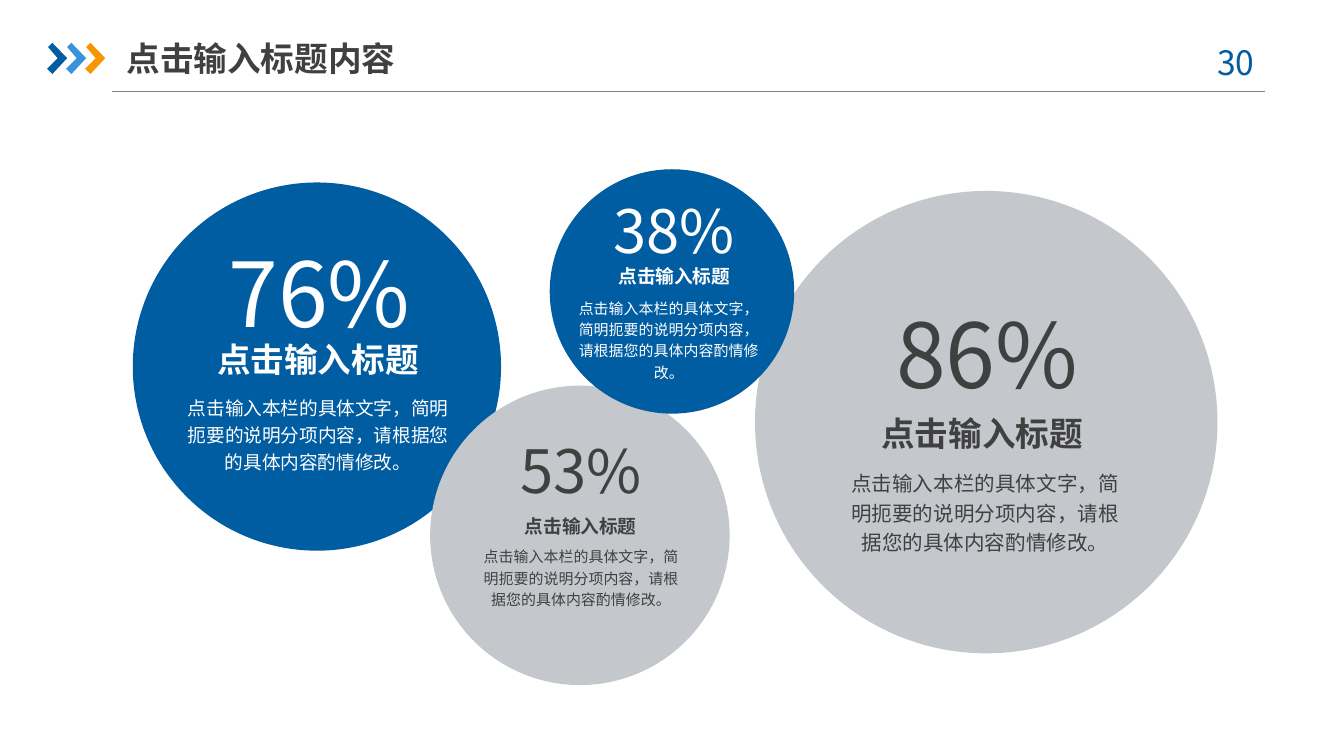
from typing import NamedTuple

import pptx
import pptx.util
from lxml import etree
from pptx.dml.color import RGBColor
from pptx.enum.shapes import MSO_CONNECTOR, MSO_SHAPE
from pptx.enum.text import MSO_ANCHOR, MSO_AUTO_SIZE, PP_ALIGN
from pptx.oxml.ns import qn
from pptx.util import Cm, Pt

BLUE = RGBColor(0x00, 0x5D, 0xA2)
SKY = RGBColor(0x39, 0x92, 0xDB)
ORANGE = RGBColor(0xF7, 0x96, 0x00)
SILVER = RGBColor(0xC4, 0xC7, 0xCB)
GRAY = RGBColor(0x80, 0x80, 0x80)
DARK = RGBColor(0x40, 0x40, 0x40)
WHITE = RGBColor(0xFF, 0xFF, 0xFF)

FONT = "Noto Sans CJK SC"
HEADING = "点击输入标题"
BODY = "点击输入本栏的具体文字，简明扼要的说明分项内容，请根据您的具体内容酌情修改。"


class Box(NamedTuple):
    """Left, top, width and height in centimetres."""
    x: float
    y: float
    w: float
    h: float


class Style(NamedTuple):
    size: float
    color: RGBColor
    bold: bool = False


class Bubble(NamedTuple):
    x: float
    y: float
    diameter: float
    fill: RGBColor
    ink: RGBColor
    value: str
    value_box: Box
    heading_box: Box
    body_box: Box
    value_size: float
    heading_size: float
    body_size: float


BUBBLES = [
    Bubble(14.27, 3.61, 8.74, SILVER, DARK, "86%", Box(16.89, 5.66, 3.53, 2.06),
           Box(16.64, 7.8, 3.84, 0.76), Box(15.93, 8.81, 5.38, 1.7), 48, 18, 11),
    Bubble(2.51, 3.45, 6.96, BLUE, WHITE, "76%", Box(4.27, 4.5, 3.53, 2.06),
           Box(4.09, 6.4, 3.84, 0.76), Box(3.51, 7.42, 5, 1.55), 48, 18, 10),
    Bubble(8.13, 7.29, 5.66, SILVER, DARK, "53%", Box(9.8, 8.2, 2.36, 1.37),
           Box(9.91, 9.73, 2.13, 0.43), Box(9.04, 10.29, 3.89, 1.22), 32, 10, 8),
    Bubble(10.39, 3.2, 4.62, BLUE, WHITE, "38%", Box(11.56, 3.66, 2.36, 1.37),
           Box(11.68, 5, 2.13, 0.43), Box(10.8, 5.59, 3.68, 1.22), 32, 10, 8),
]

CHEVRON = [(0.02, 0.89), (0.1, 0.81), (0.38, 1.1), (0.1, 1.4), (0, 1.3), (0.2, 1.1)]
CHEVRON_LEFT, CHEVRON_STEP = 0.89, 0.36


def paint(sp, color: RGBColor) -> None:
    sp.shadow.inherit = False
    sp.fill.solid()
    sp.fill.fore_color.rgb = color
    sp.line.fill.background()


def add_text(shapes, box: Box, text: str, style: Style, align=PP_ALIGN.CENTER,
             wrap: bool = True, spacing: float = 1.0, inset=(0, 0),
             anchor=MSO_ANCHOR.TOP, grow: bool = True) -> None:
    """Add a one-run text box; inset is (horizontal, vertical) in centimetres."""
    tf = shapes.add_textbox(*map(Cm, box)).text_frame
    tf.margin_left = tf.margin_right = Cm(inset[0])
    tf.margin_top = tf.margin_bottom = Cm(inset[1])
    tf.word_wrap = wrap
    tf.auto_size = MSO_AUTO_SIZE.SHAPE_TO_FIT_TEXT if grow else MSO_AUTO_SIZE.NONE
    tf.vertical_anchor = anchor
    p = tf.paragraphs[0]
    p.alignment = align
    p.line_spacing = spacing
    r = p.add_run()
    r.text = text
    r.font.size = Pt(style.size)
    r.font.bold = style.bold
    r.font.color.rgb = style.color
    r.font.name = FONT
    etree.SubElement(r.font._element, qn("a:ea"), typeface=FONT)


def add_chevrons(s) -> None:
    group = s.shapes.add_group_shape()
    for i, color in enumerate((BLUE, SKY, ORANGE)):
        left = CHEVRON_LEFT + i * CHEVRON_STEP
        points = [(Cm(left + x), Cm(y)) for x, y in CHEVRON]
        builder = group.shapes.build_freeform(*points[0])
        builder.add_line_segments(points[1:], close=True)
        paint(builder.convert_to_shape(), color)


def add_header(s) -> None:
    rule = s.shapes.add_connector(MSO_CONNECTOR.STRAIGHT, Cm(2.11), Cm(1.73), Cm(23.9), Cm(1.73))
    rule.line.color.rgb = GRAY
    rule.line.width = Pt(0.75)
    etree.SubElement(rule._element.spPr, qn("a:effectLst"))
    add_chevrons(s)
    add_text(s.shapes, Box(22.5, 0.66, 1.85, 1.02), "30 ", Style(18, BLUE), inset=(0.25, 0.13))
    add_text(s.shapes, Box(2.39, 0.56, 5.92, 1.07), "点击输入标题内容", Style(18, DARK, True),
             align=PP_ALIGN.LEFT, inset=(0, 0.13), anchor=MSO_ANCHOR.MIDDLE, grow=False)


def add_bubble(s, b: Bubble) -> None:
    shapes = s.shapes.add_group_shape().shapes
    circle = shapes.add_shape(MSO_SHAPE.OVAL, Cm(b.x), Cm(b.y), Cm(b.diameter), Cm(b.diameter))
    paint(circle, b.fill)
    add_text(shapes, b.body_box, BODY, Style(b.body_size, b.ink), spacing=1.2)
    add_text(shapes, b.value_box, b.value, Style(b.value_size, b.ink), wrap=False)
    add_text(shapes, b.heading_box, HEADING, Style(b.heading_size, b.ink, True), wrap=False)


def main() -> None:
    prs = pptx.Presentation()
    prs.slide_width, prs.slide_height = Cm(25.4), Cm(14.29)
    s = prs.slides.add_slide(prs.slide_layouts[6])
    add_header(s)
    for bubble in BUBBLES:
        add_bubble(s, bubble)
    prs.save("out.pptx")


if __name__ == "__main__":
    main()
